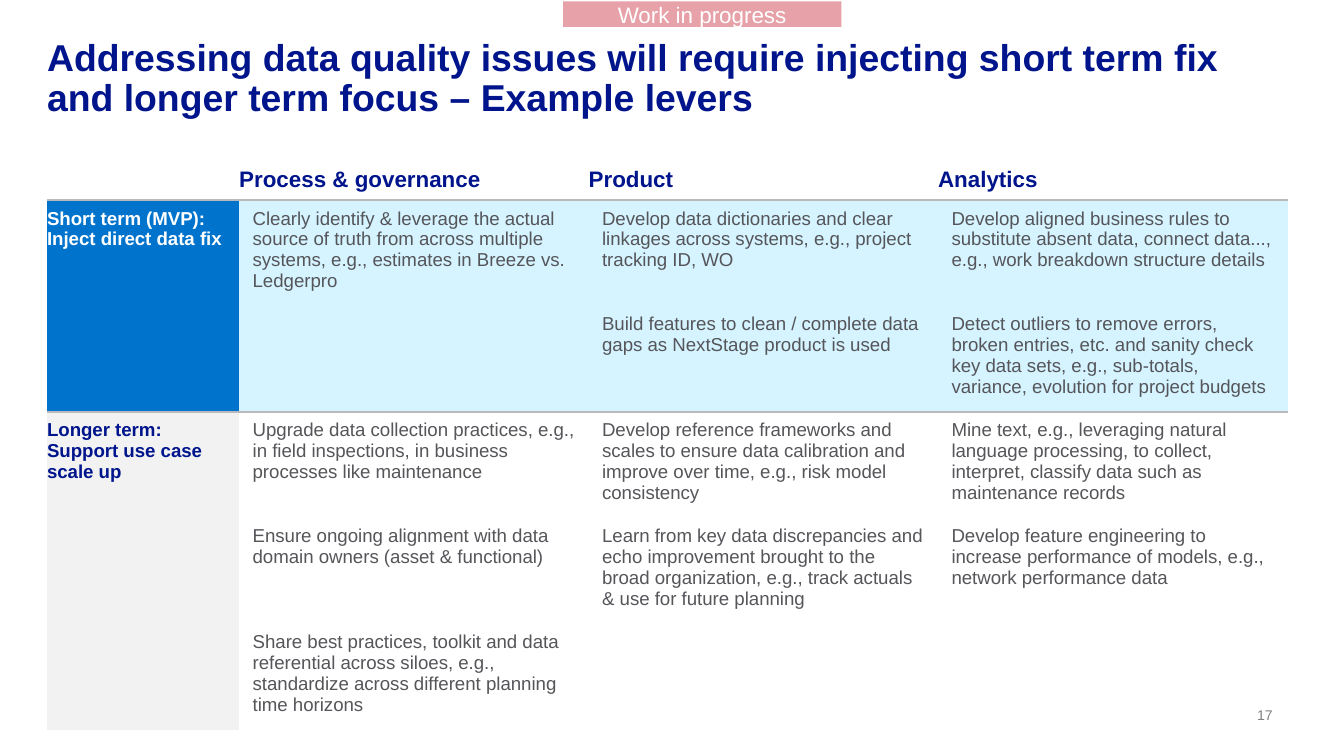
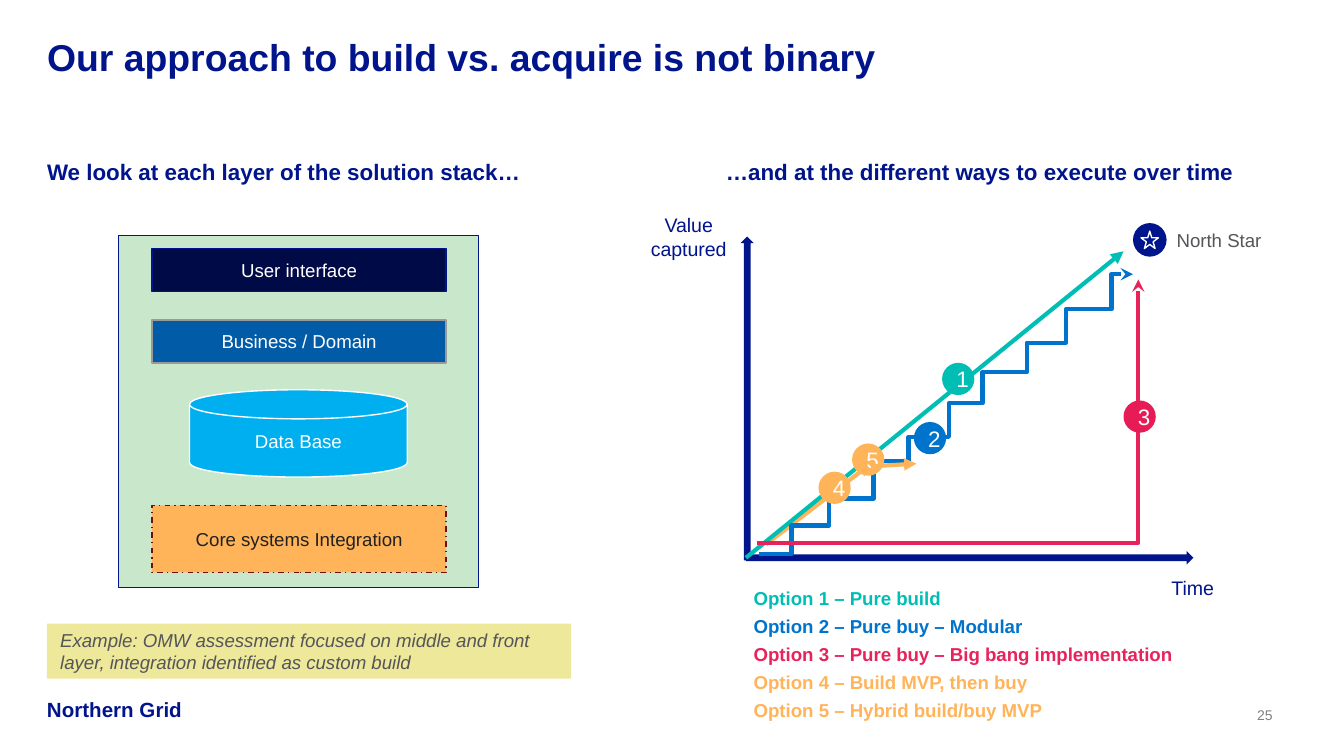
"""Build two slides on data quality levers and on build versus acquire options."""
import dataclasses
import itertools
import typing

import lxml.etree
import pptx
import pptx.dml.color
import pptx.enum.dml
import pptx.enum.shapes
import pptx.enum.text
import pptx.oxml.ns
import pptx.util

Inches = pptx.util.Inches
Pt = pptx.util.Pt
RGBColor = pptx.dml.color.RGBColor
Kind = pptx.enum.shapes.MSO_SHAPE
Align = pptx.enum.text.PP_ALIGN
Anchor = pptx.enum.text.MSO_ANCHOR
Dash = pptx.enum.dml.MSO_LINE

NAVY = RGBColor(0x00, 0x14, 0x8C)
DARK = RGBColor(0x00, 0x0A, 0x46)
BLUE = RGBColor(0x00, 0x73, 0xCD)
STEEL = RGBColor(0x01, 0x5B, 0xA6)
SKY = RGBColor(0x00, 0xAF, 0xF0)
PALE = RGBColor(0xD5, 0xF4, 0xFF)
TEAL = RGBColor(0x00, 0xBE, 0xB4)
GREEN = RGBColor(0xC9, 0xE7, 0xCA)
AMBER = RGBColor(0xFF, 0xB4, 0x5A)
SAND = RGBColor(0xEE, 0xE8, 0x9A)
PINK = RGBColor(0xE7, 0xA1, 0xA8)
ROSE = RGBColor(0xE8, 0x23, 0x5C)
RED = RGBColor(0xE7, 0x1C, 0x57)
MAROON = RGBColor(0x70, 0x0F, 0x10)
BLACK = RGBColor(0x21, 0x21, 0x21)
SLATE = RGBColor(0x55, 0x55, 0x5A)
GRAY = RGBColor(0x80, 0x80, 0x80)
MID = RGBColor(0x9A, 0x9A, 0x9A)
RULE = RGBColor(0xBA, 0xBA, 0xBE)
LIGHT = RGBColor(0xF2, 0xF2, 0xF2)
WHITE = RGBColor(0xFF, 0xFF, 0xFF)

FONT = "Arial"
BRAND = "Northern Grid"
PLAIN_TABLE = "{2D5ABB26-0587-4C30-8999-92F81FD0307C}"

Box = tuple[float, float, float, float]
Point = tuple[float, float]
ZERO: Box = (0, 0, 0, 0)
WIDE: Box = (0.1, 0.05, 0.1, 0.05)
SNUG: Box = (0.07, 0.04, 0.07, 0.04)


@dataclasses.dataclass(frozen=True)
class Style:
    """Look of the text in one frame."""

    size: float = 10
    color: RGBColor = WHITE
    bold: bool = False
    slant: bool = False
    align: Align = Align.LEFT
    anchor: Anchor = Anchor.MIDDLE
    inset: Box = WIDE
    wrap: bool = True


@dataclasses.dataclass(frozen=True)
class Block:
    """A filled preset shape with optional text."""

    box: Box
    fill: RGBColor
    text: str = ""
    style: Style = Style(align=Align.CENTER, inset=SNUG)
    line: RGBColor | None = None
    kind: Kind = Kind.RECTANGLE
    dash: Dash | None = None


@dataclasses.dataclass(frozen=True)
class Label:
    """A plain text box."""

    box: Box
    text: str
    style: Style


@dataclasses.dataclass(frozen=True)
class Badge:
    """A round number on the chart."""

    left: float
    top: float
    fill: RGBColor
    text: str


HEAD = Style(12, NAVY, bold=True, anchor=Anchor.BOTTOM, inset=ZERO)
AXIS = Style(10.5, NAVY, align=Align.CENTER)
MARK = Style(12, align=Align.CENTER)

HEADS = ["", "Process & governance", "Product", "Analytics"]
ROWS = [
    ["Short term (MVP):\nInject direct data fix",
     "Clearly identify & leverage the actual source of truth from across multiple systems, "
     "e.g., estimates in Breeze vs. Ledgerpro",
     "Develop data dictionaries and clear linkages across systems, e.g., project tracking ID, WO",
     "Develop aligned business rules to substitute absent data, connect data..., "
     "e.g., work breakdown structure details"],
    ["", "",
     "Build features to clean / complete data gaps as NextStage product is used",
     "Detect outliers to remove errors, broken entries, etc. and sanity check key data sets, "
     "e.g., sub-totals, variance, evolution for project budgets"],
    ["Longer term:\nSupport use case scale up",
     "Upgrade data collection practices, e.g., in field inspections, "
     "in business processes like maintenance",
     "Develop reference frameworks and scales to ensure data calibration and improve over time, "
     "e.g., risk model consistency",
     "Mine text, e.g., leveraging natural language processing, to collect, interpret, "
     "classify data such as maintenance records"],
    ["",
     "Ensure ongoing alignment with data domain owners (asset & functional)",
     "Learn from key data discrepancies and echo improvement brought to the broad organization, "
     "e.g., track actuals & use for future planning",
     "Develop feature engineering to increase performance of models, "
     "e.g., network performance data"],
    ["",
     "Share best practices, toolkit and data referential across siloes, "
     "e.g., standardize across different planning time horizons", "", ""],
]

STACK = [
    Block((0.88, 1.75, 2.68, 2.62), GREEN, line=NAVY),
    Block((1.13, 1.85, 2.19, 0.32), DARK, "User interface", line=NAVY),
    Block((1.13, 2.38, 2.19, 0.32), STEEL, "Business / Domain", line=MID),
    Block((1.13, 3.76, 2.19, 0.5), AMBER, "Core systems Integration",
          Style(color=BLACK, align=Align.CENTER, inset=SNUG), MAROON, dash=Dash.DASH_DOT),
    Block((1.41, 2.9, 1.62, 0.65), SKY, "Data Base",
          Style(align=Align.CENTER, inset=ZERO, wrap=False), WHITE,
          Kind.FLOWCHART_MAGNETIC_DISK),
    Block((0.35, 4.64, 3.9, 0.41), SAND,
          "Example: OMW assessment focused on middle and front layer, "
          "integration identified as custom build", Style(color=SLATE, slant=True)),
    Block((5.51, 1.76, 0.1, 2.41), NAVY, kind=Kind.UP_ARROW),
    Block((5.55, 4.1, 3.33, 0.1), NAVY, kind=Kind.RIGHT_ARROW),
]
LABELS = [
    Label((0.35, 0.82, 4.25, 0.56), "We look at each layer of the solution stack…", HEAD),
    Label((5.4, 0.82, 4.25, 0.56), "…and at the different ways to execute over time", HEAD),
    Label((4.71, 1.61, 0.83, 0.3), "Value captured", AXIS),
    Label((8.46, 4.22, 0.83, 0.3), "Time", AXIS),
    Label((8.57, 1.52, 1, 0.53), "North Star",
          Style(color=SLATE, align=Align.CENTER, wrap=False)),
]
PLANS = {
    "Option 1 – Pure build": TEAL,
    "Option 2 – Pure buy – Modular": BLUE,
    "Option 3 – Pure buy – Big bang implementation": ROSE,
    "Option 4 – Build MVP, then buy": AMBER,
    "Option 5 – Hybrid build/buy MVP": AMBER,
}
BADGES = [
    Badge(7.01, 2.7, TEAL, "1"),
    Badge(6.8, 3.14, BLUE, "2"),
    Badge(8.36, 2.98, RED, "3"),
    Badge(6.34, 3.3, AMBER, "5"),
    Badge(6.09, 3.51, AMBER, "4"),
]
STEP_X = [5.65, 5.89, 6.17, 6.5, 6.76, 7.06, 7.31, 7.64, 7.93, 8.27, 8.43]
STEP_Y = [4.12, 3.91, 3.71, 3.43, 3.25, 3, 2.77, 2.55, 2.3, 2.04]


def place(box: Box) -> list[int]:
    """Turn a box in inches into lengths."""
    return [Inches(side) for side in box]


def write(frame: typing.Any, text: str, style: Style) -> None:
    """Put styled text in a frame."""
    frame.word_wrap = style.wrap
    frame.vertical_anchor = style.anchor
    (frame.margin_left, frame.margin_top,
     frame.margin_right, frame.margin_bottom) = place(style.inset)
    dress(frame, text, style)


def dress(frame: typing.Any, text: str, style: Style) -> None:
    """Set the text of a frame and format its runs."""
    frame.text = text
    for para in frame.paragraphs:
        para.alignment = style.align
        for run in para.runs:
            run.font.name = FONT
            run.font.size = Pt(style.size)
            run.font.bold = style.bold
            run.font.italic = style.slant
            run.font.color.rgb = style.color


def draw_block(slide: typing.Any, block: Block) -> None:
    """Draw a preset shape."""
    shape = slide.shapes.add_shape(block.kind, *place(block.box))
    shape.shadow.inherit = False
    shape.fill.solid()
    shape.fill.fore_color.rgb = block.fill
    if block.line is None:
        shape.line.fill.background()
    else:
        shape.line.color.rgb = block.line
        shape.line.width = Pt(0.75)
        if block.dash is not None:
            shape.line.dash_style = block.dash
    if block.text:
        write(shape.text_frame, block.text, block.style)


def draw_label(slide: typing.Any, label: Label) -> typing.Any:
    """Draw a text box and return its frame."""
    frame = slide.shapes.add_textbox(*place(label.box)).text_frame
    write(frame, label.text, label.style)
    return frame


def draw_badge(slide: typing.Any, badge: Badge) -> None:
    """Draw a numbered dot."""
    box = (badge.left, badge.top, 0.24, 0.24)
    draw_block(slide, Block(box, badge.fill, badge.text, MARK, kind=Kind.OVAL))


def tip(shape: typing.Any, color: RGBColor, head: str) -> None:
    """Color a line and end it with an arrowhead."""
    shape.line.color.rgb = color
    shape.line.width = Pt(2.25)
    stroke = shape.line._get_or_add_ln()
    lxml.etree.SubElement(stroke, pptx.oxml.ns.qn("a:tailEnd"), type=head)


def draw_arrow(slide: typing.Any, start: Point, end: Point, color: RGBColor) -> None:
    """Draw a straight arrow."""
    ends = [Inches(value) for value in start + end]
    shape = slide.shapes.add_connector(pptx.enum.shapes.MSO_CONNECTOR.STRAIGHT, *ends)
    tip(shape, color, "triangle")
    lxml.etree.SubElement(shape._element.spPr, pptx.oxml.ns.qn("a:effectLst"))


def draw_route(slide: typing.Any, points: list[Point], color: RGBColor) -> None:
    """Draw an open bent arrow."""
    spots = [(Inches(left), Inches(top)) for left, top in points]
    pen = slide.shapes.build_freeform(*spots[0])
    pen.add_line_segments(spots[1:], close=False)
    shape = pen.convert_to_shape()
    shape.shadow.inherit = False
    shape.fill.background()
    tip(shape, color, "stealth")


def add_slide(deck: typing.Any, title: str, page: str, height: float) -> typing.Any:
    """Add a slide with title and footer."""
    slide = deck.slides.add_slide(deck.slide_layouts[5])
    shape = slide.shapes.title
    shape.left, shape.top, shape.width, shape.height = place((0.35, 0.29, 9.29, height))
    write(shape.text_frame, title, Style(20, NAVY, bold=True, anchor=Anchor.TOP, inset=ZERO))
    shape.text_frame.auto_size = pptx.enum.text.MSO_AUTO_SIZE.NONE
    shape.text_frame.paragraphs[0].line_spacing = 0.9
    draw_label(slide, Label((9.16, 5.25, 0.31, 0.13), page, Style(
        7.5, GRAY, align=Align.RIGHT, anchor=Anchor.BOTTOM, inset=ZERO)))
    draw_label(slide, Label((0.35, 5.18, 1.1, 0.19), BRAND, Style(
        11, NAVY, bold=True, anchor=Anchor.BOTTOM, inset=ZERO)))
    return slide


def edge(cell: typing.Any, ruled: set[str]) -> None:
    """Rule the named sides of a cell and clear the others."""
    name = pptx.oxml.ns.qn
    for side in ("lnL", "lnR", "lnT", "lnB"):
        line = lxml.etree.SubElement(
            cell._tc.get_or_add_tcPr(), name("a:" + side), w=str(Pt(1)))
        if side in ruled:
            fill = lxml.etree.SubElement(line, name("a:solidFill"))
            lxml.etree.SubElement(fill, name("a:srgbClr"), val=str(RULE))
        else:
            lxml.etree.SubElement(line, name("a:noFill"))


def draw_cell(cell: typing.Any, row: int, col: int, text: str) -> None:
    """Style a table cell by its row and column."""
    short, body = row in (1, 2), bool(row and col)
    ruled = {"lnT"} if row in (1, 3) else set()
    if row in (0, 2) or (row == 1 and col == 0):
        ruled.add("lnB")
    edge(cell, ruled)
    if short or (row and col == 0):
        cell.fill.solid()
        shades = (PALE, PALE) if col else (BLUE, LIGHT)
        cell.fill.fore_color.rgb = shades[0 if short else 1]
    else:
        cell.fill.background()
    color = SLATE if body else WHITE if short else NAVY
    dress(cell.text_frame, text, Style(10 if row else 12, color, bold=not body))
    cell.vertical_anchor = Anchor.TOP if row else Anchor.BOTTOM
    inset = (0.1, 0.06, 0.1, 0.06) if body else (0, 0.06, 0.06, 0.06)
    cell.margin_left, cell.margin_top, cell.margin_right, cell.margin_bottom = place(inset)


def draw_table(slide: typing.Any) -> None:
    """Draw the table of levers."""
    grid = [HEADS] + ROWS
    shape = slide.shapes.add_table(len(grid), len(HEADS), *place((0.35, 1.02, 9.23, 2.47)))
    table = shape.table
    table._tbl.tblPr[0].text = PLAIN_TABLE
    table.first_row = table.horz_banding = False
    for col, column in enumerate(table.columns):
        column.width = Inches(2.6 if col else 1.43)
    for row, texts in enumerate(grid):
        table.rows[row].height = Inches(0.4 if row else 0.47)
        for col, text in enumerate(texts):
            draw_cell(table.cell(row, col), row, col, text)
    table.cell(1, 0).merge(table.cell(2, 0))
    shape.height = Inches(4.41)


def build_levers(deck: typing.Any) -> None:
    """Build the slide of levers."""
    slide = add_slide(deck, "Addressing data quality issues will require injecting short term fix "
                      "and longer term focus – Example levers", "17", 0.61)
    draw_table(slide)
    draw_block(slide, Block((4.19, 0.01, 2.07, 0.19), PINK, "Work in progress", MARK))


def build_options(deck: typing.Any) -> None:
    """Build the slide of options."""
    slide = add_slide(deck, "Our approach to build vs. acquire is not binary", "25", 0.3)
    draw_arrow(slide, (5.7, 4.05), (6.48, 3.45), AMBER)
    for block in STACK:
        draw_block(slide, block)
    for label in LABELS:
        draw_label(slide, label)
    draw_arrow(slide, (5.55, 4.15), (8.36, 1.87), TEAL)
    steps = []
    for (left, right), top in zip(itertools.pairwise(STEP_X), STEP_Y):
        steps += [(left, top), (right, top)]
    draw_route(slide, steps, BLUE)
    draw_route(slide, [(5.63, 4.04), (8.47, 4.04), (8.47, 2.08)], ROSE)
    frame = draw_label(slide, Label((5.51, 4.29, 3.4, 1.15), "\n".join(PLANS),
                                    Style(bold=True)))
    for para, color in zip(frame.paragraphs, PLANS.values()):
        para.space_after = Pt(3)
        para.runs[0].font.color.rgb = color
    draw_block(slide, Block((8.43, 1.66, 0.25, 0.25), NAVY, kind=Kind.OVAL))
    draw_block(slide, Block((8.49, 1.72, 0.13, 0.13), NAVY, line=WHITE, kind=Kind.STAR_5_POINT))
    for badge in BADGES[:-1]:
        draw_badge(slide, badge)
    draw_arrow(slide, (6.48, 3.47), (6.82, 3.45), AMBER)
    draw_badge(slide, BADGES[-1])


def main() -> None:
    """Build and save the deck."""
    deck = pptx.Presentation()
    deck.slide_width, deck.slide_height = Inches(10), Inches(10 * 9 / 16)
    build_levers(deck)
    build_options(deck)
    deck.save("out.pptx")


if __name__ == "__main__":
    main()
